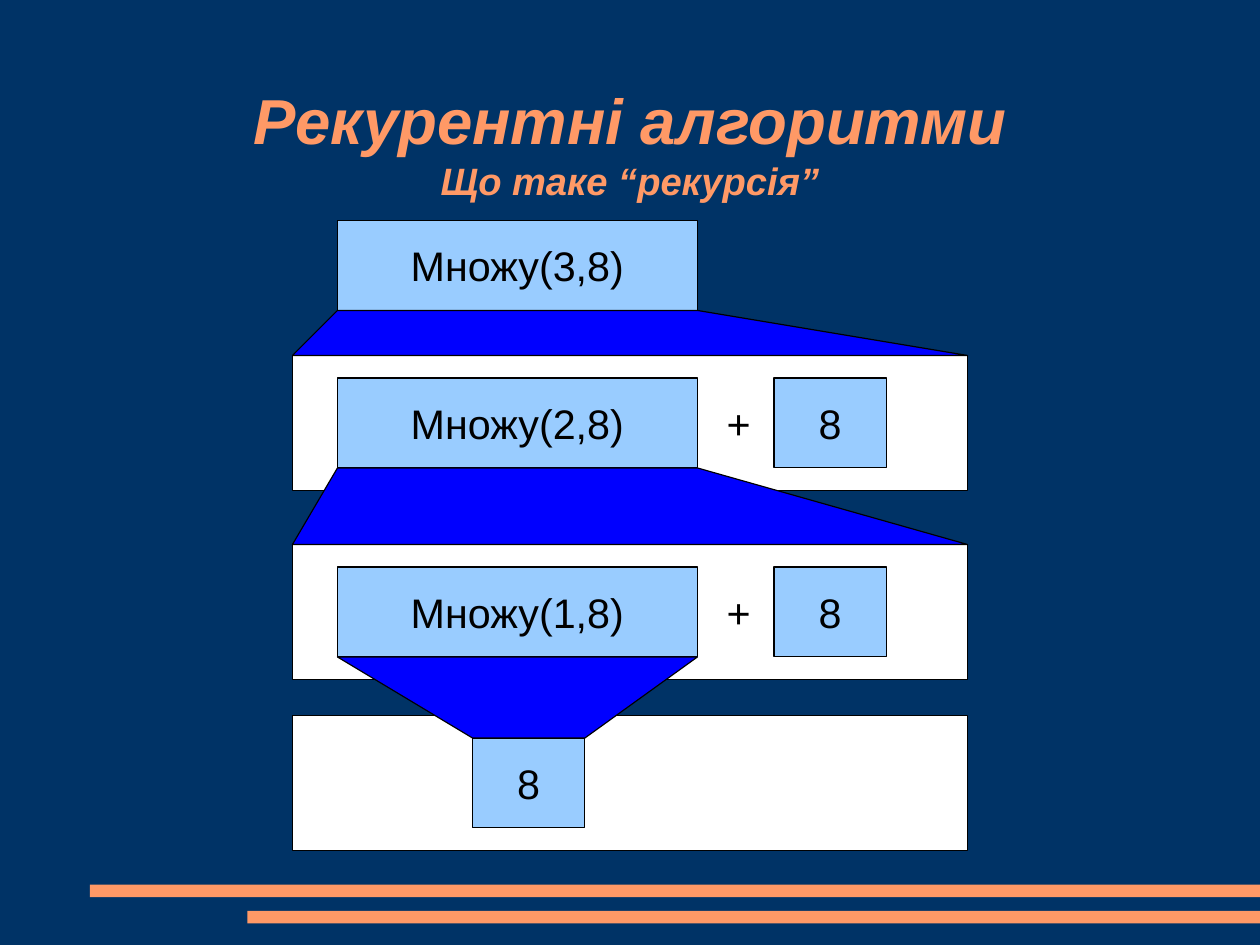
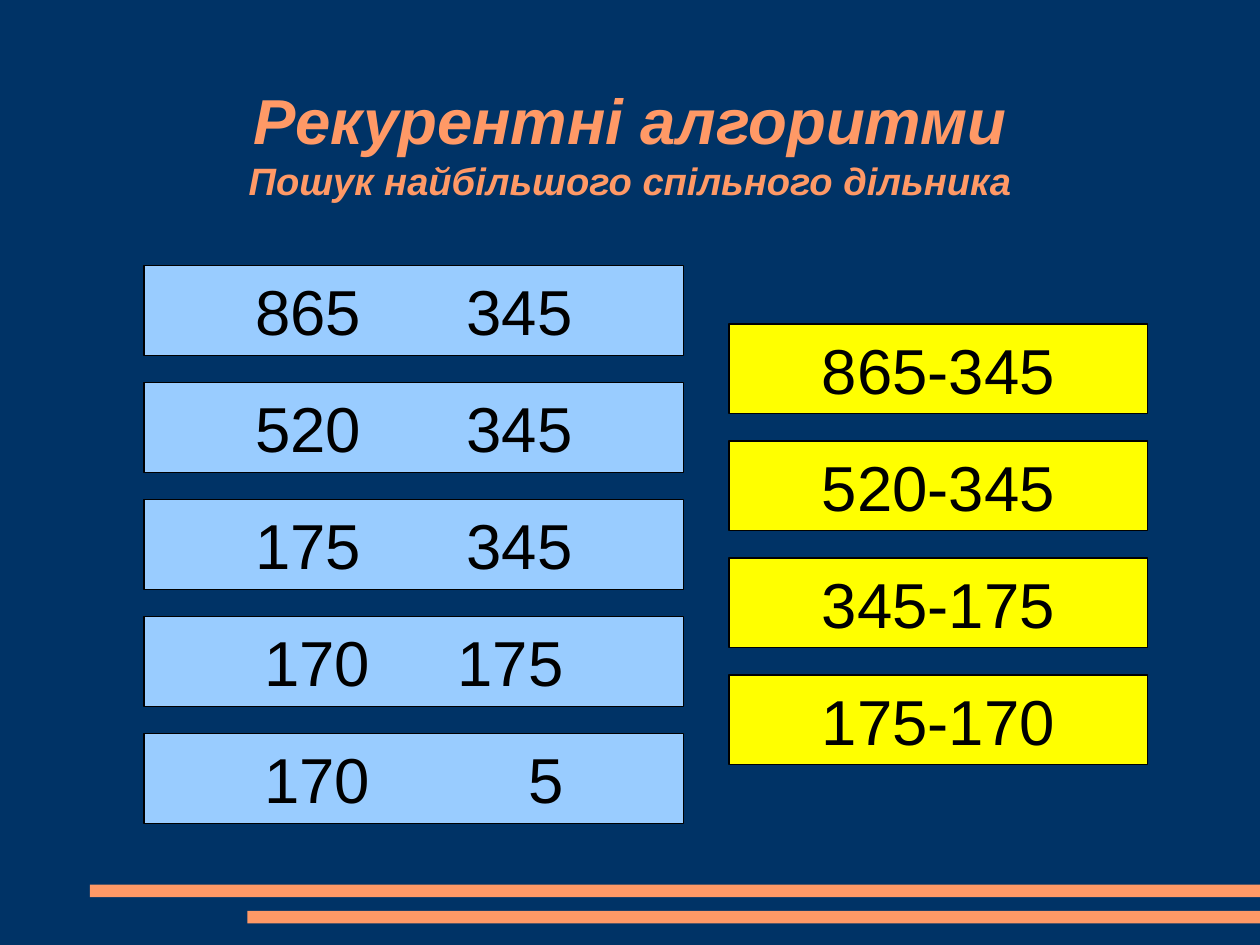
import pptx
import pptx.dml.color
import pptx.enum.shapes
import pptx.enum.text
import pptx.util
from lxml import etree

# All lengths are in centimetres.
SLIDE_WIDTH, SLIDE_HEIGHT = 28, 21
FONT = "Arial"
NAVY, ORANGE, BLACK, WHITE = "003366", "FF9966", "000000", "FFFFFF"
LIGHT_BLUE, BLUE, YELLOW = "99CCFF", "0000FF", "FFFF00"
CENTER = pptx.enum.text.PP_ALIGN.CENTER
LEFT = pptx.enum.text.PP_ALIGN.LEFT
cm = pptx.util.Cm


def color(hex_string):
    return pptx.dml.color.RGBColor.from_string(hex_string)


def paint(shape, fill, line=BLACK):
    shape.shadow.inherit = False
    shape.fill.solid()
    shape.fill.fore_color.rgb = color(fill)
    if line:
        shape.line.color.rgb = color(line)
        shape.line.width = 0
    else:
        shape.line.fill.background()


def add_box(slide, left, top, width, height, fill, line=BLACK):
    shape = slide.shapes.add_shape(
        pptx.enum.shapes.MSO_SHAPE.RECTANGLE, cm(left), cm(top), cm(width), cm(height))
    paint(shape, fill, line)
    return shape


def add_run(paragraph, text, size, text_color=BLACK, emphasis=False):
    run = paragraph.add_run()
    run.text = text
    run.font.name = FONT
    run.font.size = pptx.util.Pt(size)
    run.font.color.rgb = color(text_color)
    run.font.bold = run.font.italic = emphasis


def write(shape, text, size, align=CENTER):
    frame = shape.text_frame
    frame.word_wrap = True
    frame.vertical_anchor = pptx.enum.text.MSO_ANCHOR.MIDDLE
    paragraph = frame.paragraphs[0]
    paragraph.alignment = align
    add_run(paragraph, text, size)
    return paragraph


def add_right_tabs(paragraph, positions):
    properties = paragraph._p.get_or_add_pPr()
    namespace = pptx.oxml.ns.nsdecls("a")
    tabs = "".join(f'<a:tab pos="{int(cm(position))}" algn="r"/>' for position in positions)
    properties.append(etree.fromstring(f"<a:tabLst {namespace}>{tabs}</a:tabLst>"))


def add_title(slide, title, subtitle):
    box = slide.shapes.add_textbox(cm(2.05), cm(0.79), cm(23.9), cm(4.72))
    frame = box.text_frame
    frame.word_wrap = True
    frame.vertical_anchor = pptx.enum.text.MSO_ANCHOR.MIDDLE
    frame.margin_left = frame.margin_right = frame.margin_top = frame.margin_bottom = 0
    paragraph = frame.paragraphs[0]
    paragraph.alignment = CENTER
    add_run(paragraph, title, 40, ORANGE, emphasis=True)
    paragraph.add_line_break()
    add_run(paragraph, subtitle, 24, ORANGE, emphasis=True)


def add_slide(presentation, subtitle):
    """Add a slide with the shared bands and title."""
    slide = presentation.slides.add_slide(presentation.slide_layouts[6])
    for left, top in ((2, 19.66), (5.5, 20.24)):
        add_box(slide, left, top, SLIDE_WIDTH - left, 0.28, ORANGE, line=None)
    add_title(slide, "Рекурентні алгоритми", subtitle)
    return slide


def add_recursion_diagram(slide, left, top, width, height):
    """Unfold the calls downwards on a grid of 30 columns and 28 rows."""
    column, row = width / 30, height / 28
    frame_rows = (6, 14.4, 22)
    call_column, call_width, base_column, eight_width, box_height = 2, 16, 8, 5, 4

    def place(grid_column, grid_row, columns, rows, fill):
        return add_box(slide, left + grid_column * column, top + grid_row * row,
                       columns * column, rows * row, fill)

    def add_call(grid_row, first):
        write(place(call_column, grid_row, call_width, box_height, LIGHT_BLUE),
              f"Множу({first},8)", 26)

    def add_eight(grid_column, grid_row):
        write(place(grid_column, grid_row, eight_width, box_height, LIGHT_BLUE), "8", 26)

    def add_funnel(call_row, target_row, target_column, target_width):
        """Join the bottom of a call to the top of what it unfolds into."""
        call_bottom = call_row + box_height
        corners = [(cm(left + x * column), cm(top + y * row)) for x, y in (
            (target_column, target_row), (call_column, call_bottom),
            (call_column + call_width, call_bottom),
            (target_column + target_width, target_row))]
        builder = slide.shapes.build_freeform(*corners[0], scale=1.0)
        builder.add_line_segments(corners[1:], close=True)
        paint(builder.convert_to_shape(), BLUE)

    call_rows = (0, frame_rows[0] + 1, frame_rows[1] + 1)
    base_row = frame_rows[2] + 1
    frames = [place(0, frame_row, 30, 6, WHITE) for frame_row in frame_rows]
    for sum_frame, call_row in zip(frames, call_rows[1:]):
        write(sum_frame, "+", 26)
        sum_frame.text_frame.margin_left = cm(5.08)
        add_eight(21.4, call_row)
    for first, call_row in zip((3, 2, 1), call_rows):
        add_call(call_row, first)
    add_eight(base_column, base_row)
    for call_row, frame_row in zip(call_rows, frame_rows[:2]):
        add_funnel(call_row, frame_row, 0, 30)
    add_funnel(call_rows[2], base_row, base_column, eight_width)


def add_stack(slide, left, top, width, texts, fill, tab_stops=None):
    """Stack equal boxes; tab_stops holds the right edges of the numbers in each."""
    box_height, pitch = 2, 2.6
    for index, text in enumerate(texts):
        box = add_box(slide, left, top + index * pitch, width, box_height, fill)
        paragraph = write(box, text, 40, LEFT if tab_stops else CENTER)
        if tab_stops:
            add_right_tabs(paragraph, tab_stops[index])


def main():
    presentation = pptx.Presentation()
    presentation.slide_width = cm(SLIDE_WIDTH)
    presentation.slide_height = cm(SLIDE_HEIGHT)
    background = presentation.slide_master.background.fill
    background.solid()
    background.fore_color.rgb = color(NAVY)

    recursion = add_slide(presentation, "Що таке “рекурсія”")
    add_recursion_diagram(recursion, left=6.5, top=4.9, width=15, height=14)

    divisor = add_slide(presentation, "Пошук найбільшого спільного дільника")
    pairs = ((865, 345), (520, 345), (175, 345), (170, 175), (170, 5))
    wide, narrow = (4.57, 9.27), (4.77, 9.07)
    add_stack(divisor, 3.2, 5.9, 12, [f"\t{first}\t{second}" for first, second in pairs],
              LIGHT_BLUE, [wide] * 3 + [narrow] * 2)
    add_stack(divisor, 16.2, 7.2, 9.3, ("865-345", "520-345", "345-175", "175-170"), YELLOW)

    presentation.save("out.pptx")


if __name__ == "__main__":
    main()
